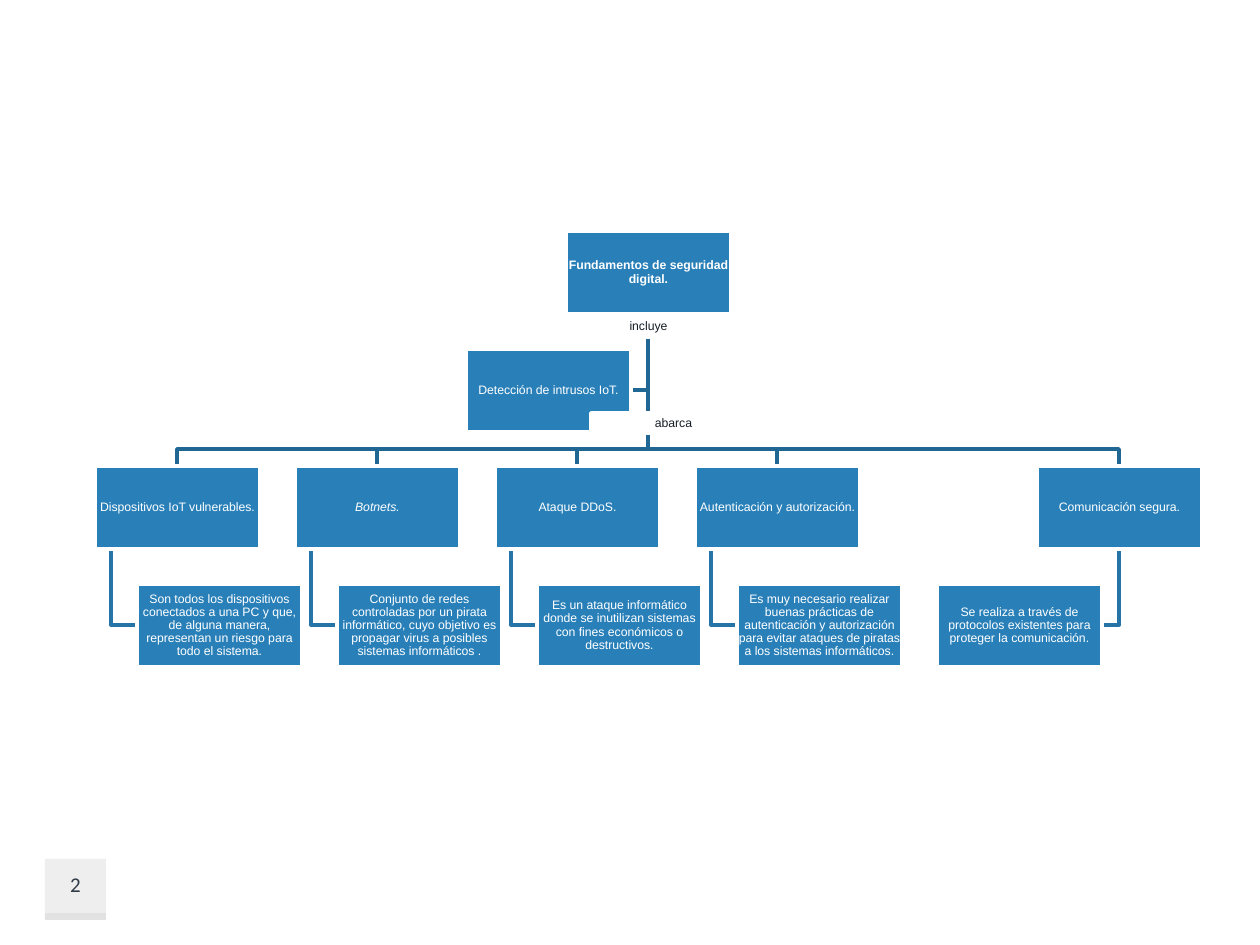
"""Concept map of digital security basics, with a page number."""
import pptx
import pptx.util
import pptx.dml.color
import pptx.enum.shapes
import pptx.enum.text
import pptx.oxml
import pptx.oxml.ns

ROOT = "Fundamentos de seguridad digital."
ASIDE = "Detección de intrusos IoT."
TOPICS = [
    ("Dispositivos IoT vulnerables.", "Son todos los dispositivos conectados a una PC y que, "
     "de alguna manera, representan un riesgo para todo el sistema."),
    ("Botnets.", "Conjunto de redes controladas por un pirata informático, cuyo objetivo "
     "es propagar virus a posibles sistemas informáticos ."),
    ("Ataque DDoS.", "Es un ataque informático donde se inutilizan sistemas con fines "
     "económicos o destructivos."),
    ("Autenticación y autorización.", "Es muy necesario realizar buenas prácticas de "
     "autenticación y autorización para evitar ataques de piratas a los sistemas informáticos."),
    ("Comunicación segura.", "Se realiza a través de protocolos existentes para proteger "
     "la comunicación."),
]
LABELS = [("incluye", 566, 317), ("abarca", 591, 413)]
PAGE = "2"

EMU = 914400 / 126
WIDE, HIGH = 165, 83
STEP, LEFT, LAST = 200, 95, 1037
INDENT, STEM = 42, 16
TOP, MID, LOW = 231, 466, 584
TRUNK, BUS = 648, 449
BLUE, DARK, LINK, WHITE, INK = "2980B9", "216794", "2574A8", "FFFFFF", "161F28"
FONT = {"name": "Arial", "size": pptx.util.Pt(7)}


def px(num):
    return round(num * EMU)


def rgb(code):
    return pptx.dml.color.RGBColor.from_string(code)


def write(shape, text, color, **look):
    frame = shape.text_frame
    form = {"word_wrap": True, "vertical_anchor": pptx.enum.text.MSO_ANCHOR.MIDDLE,
            "margin_left": 0, "margin_right": 0, "margin_top": 0, "margin_bottom": 0}
    for key, val in form.items():
        setattr(frame, key, val)
    para = frame.paragraphs[0]
    para.alignment = pptx.enum.text.PP_ALIGN.CENTER
    para.line_spacing = 0.9
    run = para.add_run()
    run.text = text
    for key, val in {**FONT, **look}.items():
        setattr(run.font, key, val)
    run.font.color.rgb = rgb(color)


def rect(slide, left, top, wide, high, fill):
    shape = slide.shapes.add_shape(pptx.enum.shapes.MSO_SHAPE.RECTANGLE,
                                   px(left), px(top), px(wide), px(high))
    shape.shadow.inherit = False
    shape.fill.solid()
    shape.fill.fore_color.rgb = rgb(fill)
    shape.line.fill.background()
    return shape


def box(slide, text, left, top, high=HIGH, fill=BLUE, color=WHITE, **look):
    shape = rect(slide, left, top, WIDE, high, fill)
    shape.line.color.rgb = rgb(WHITE)
    shape.line.width = pptx.util.Pt(2)
    write(shape, text, color, **look)


def link(slide, color, *points):
    path = slide.shapes.build_freeform(*points[0], scale=EMU)
    path.add_line_segments(points[1:], close=False)
    shape = path.convert_to_shape()
    shape.shadow.inherit = False
    shape.fill.background()
    shape.line.color.rgb = rgb(color)
    shape.line.width = pptx.util.Pt(2)


def tile(slide):
    for top, high in ((859, 61), (913, 7)):
        shape = rect(slide, 45, top, 61, high, "BFBFBF")
        tint = shape.fill._xPr.find(".//" + pptx.oxml.ns.qn("a:srgbClr"))
        alpha = pptx.oxml.parse_xml(
            "<a:alpha %s val='25000'/>" % pptx.oxml.ns.nsdecls("a"))
        tint.append(alpha)
    page = slide.shapes.add_textbox(px(45), px(859), px(61), px(54))
    write(page, PAGE, "2F3A46", name="Calibri", size=pptx.util.Pt(12))


def main():
    deck = pptx.Presentation()
    deck.slide_width, deck.slide_height = px(1260), px(945)
    slide = deck.slides.add_slide(deck.slide_layouts[6])
    tile(slide)

    end = len(TOPICS) - 1
    heads = [LEFT + STEP * num for num in range(end)] + [LAST]
    notes = [LEFT + INDENT + STEP * num for num in range(end + 1)]
    start = (TRUNK, TOP + HIGH)
    link(slide, DARK, start, (TRUNK, 390), (631, 390))
    for num, (head, note) in enumerate(zip(heads, notes)):
        mid = head + WIDE // 2
        link(slide, DARK, start, (TRUNK, BUS), (mid, BUS), (mid, MID))
        stem, side = (mid, note + WIDE) if num == end else (head + STEM, note)
        turn = LOW + HIGH // 2
        link(slide, LINK, (stem, MID + HIGH), (stem, turn), (side, turn))

    box(slide, ROOT, 566, TOP, bold=True)
    for (name, text), head, note in zip(TOPICS, heads, notes):
        box(slide, name, head, MID, italic=name == "Botnets.")
        box(slide, text, note, LOW)
    box(slide, ASIDE, 466, 349)
    for text, left, top in LABELS:
        box(slide, text, left, top, 20, WHITE, INK)
    deck.save("out.pptx")


if __name__ == "__main__":
    main()
